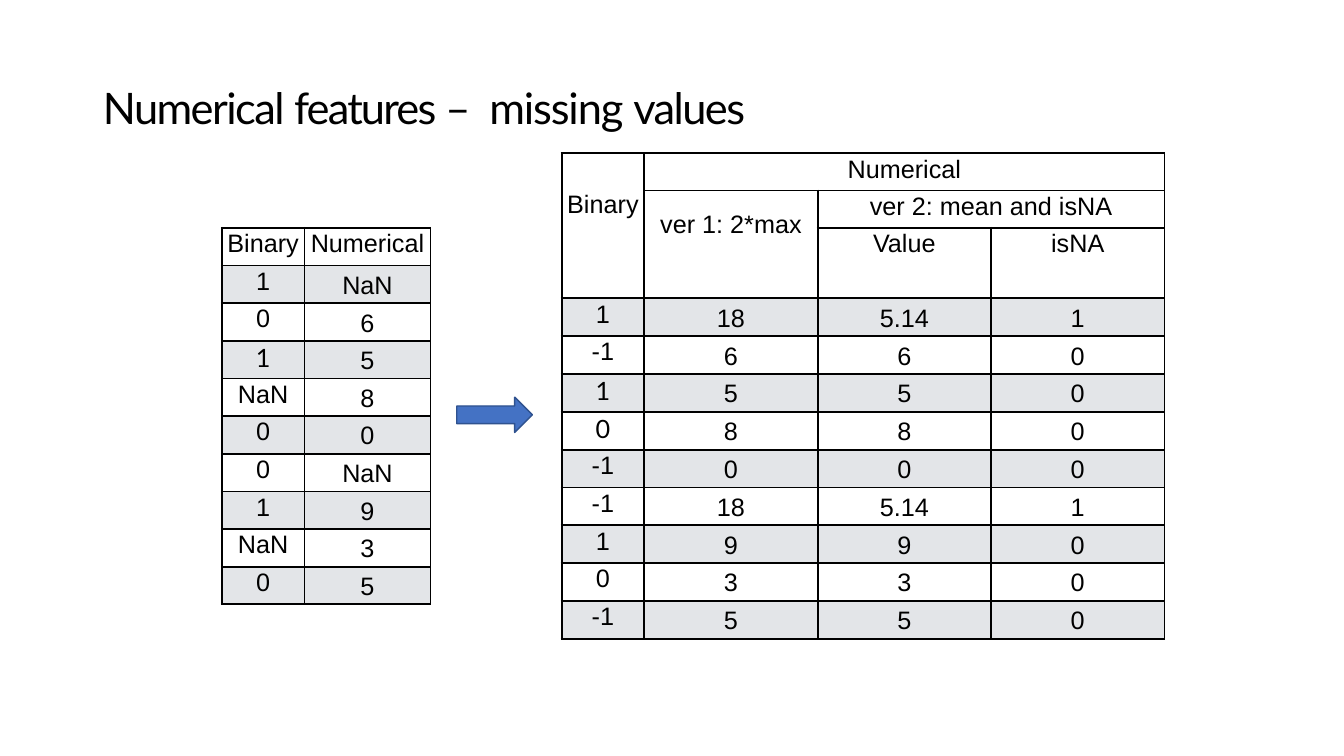
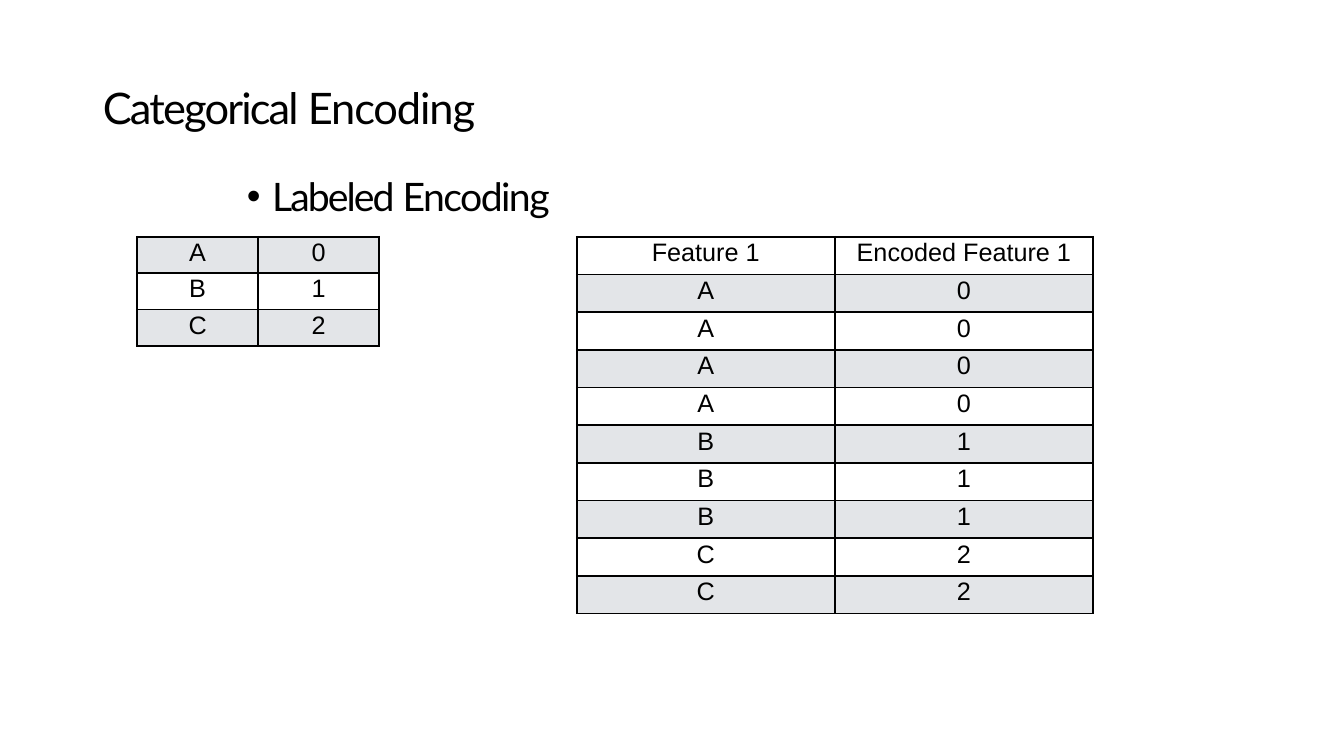
from lxml.etree import SubElement
from pptx import Presentation
from pptx.dml.color import RGBColor
from pptx.enum.shapes import MSO_SHAPE
from pptx.enum.text import MSO_ANCHOR, PP_ALIGN
from pptx.oxml.ns import qn
from pptx.util import Inches, Pt

# Shared look
BLACK, WHITE, GREY = "000000", "FFFFFF", "E3E5E8"
BLUE, NAVY = "4472C4", "2F528F"
SANS, HEAD = "Arial", "Lato"

# Content: text runs carry their letter spacing in points
MISSING = [("Numerical ", -1.1), ("features ", -1.3), ("– ", 2.7),
           ("missing ", -0.8), ("values", -1.1)]
CODING = [("Categorical ", -1.3), ("Encoding", -0.8)]
LABEL = [("Labeled ", -1.4), ("Encoding", -1.1)]

RAW = [
    ("Binary", "Numerical"),
    ("1", "NaN"), ("0", "6"), ("1", "5"), ("NaN", "8"), ("0", "0"),
    ("0", "NaN"), ("1", "9"), ("NaN", "3"), ("0", "5"),
]
FILLED = [
    ("Binary", "Numerical", "", ""),
    ("", "ver 1: 2*max", "ver 2: mean and isNA", ""),
    ("", "", "Value", "isNA"),
    ("1", "18", "5.14", "1"),
    ("-1", "6", "6", "0"),
    ("1", "5", "5", "0"),
    ("0", "8", "8", "0"),
    ("-1", "0", "0", "0"),
    ("-1", "18", "5.14", "1"),
    ("1", "9", "9", "0"),
    ("0", "3", "3", "0"),
    ("-1", "5", "5", "0"),
]
SPANS = [((0, 0), (2, 0)), ((0, 1), (0, 3)), ((1, 1), (2, 1)), ((1, 2), (1, 3))]
CODES = {"A": "0", "B": "1", "C": "2"}
KEY = list(CODES.items())
CODED = [("Feature 1", "Encoded Feature 1")] + [(x, CODES[x]) for x in "AAAABBBCC"]


def color(code):
    return RGBColor.from_string(code)


def paint(fill, code):
    fill.solid()
    fill.fore_color.rgb = color(code)


def write(frame, runs, size, top):
    """Fill a text frame with one line of spaced heading text."""
    frame.word_wrap = True
    frame.vertical_anchor = MSO_ANCHOR.TOP
    frame.margin_left = frame.margin_right = frame.margin_bottom = 0
    frame.margin_top = Inches(top)
    para = frame.paragraphs[0]
    para.alignment = PP_ALIGN.LEFT
    para.font.size, para.font.name = Pt(size), HEAD
    para.font.color.rgb = color(BLACK)
    for text, gap in runs:
        run = para.add_run()
        run.text = text
        run._r.get_or_add_rPr().set("spc", str(round(gap * 100)))
    return para


def add_page(deck, runs):
    page = deck.slides.add_slide(deck.slide_layouts[5])
    title = page.shapes.title
    title.left, title.top = Inches(1.02), Inches(0.79)
    title.width, title.height = Inches(7.5), Inches(0.55)
    write(title.text_frame, runs, 31, 0.01)
    return page


def add_border(cell):
    props = cell._tc.get_or_add_tcPr()
    for side in ("lnL", "lnR", "lnT", "lnB"):
        line = SubElement(props, qn(f"a:{side}"), w=str(Pt(1.5)))
        fill = SubElement(line, qn("a:solidFill"))
        SubElement(fill, qn("a:srgbClr"), val=BLACK)


def add_grid(page, rows, left, top, cols, highs, heads=1, drop=0.02,
             spans=(), tops=None, lato=()):
    """Draw a striped table; drop is the top margin right of column one."""
    tops = tops or {}
    frame = page.shapes.add_table(
        len(rows), len(cols), Inches(left), Inches(top),
        Inches(sum(cols)), Inches(sum(highs)))
    grid = frame.table
    grid.first_row = grid.horz_banding = False
    for col, width in zip(grid.columns, cols):
        col.width = Inches(width)
    for row, high in zip(grid.rows, highs):
        row.height = Inches(high)
    for start, end in spans:
        grid.cell(*start).merge(grid.cell(*end))
    for r, row in enumerate(rows):
        for c, text in enumerate(row):
            cell = grid.cell(r, c)
            add_border(cell)
            body = r >= heads
            paint(cell.fill, GREY if body and (r - heads) % 2 == 0 else WHITE)
            cell.margin_left = cell.margin_right = cell.margin_bottom = 0
            inset = drop if body and c else 0.02
            cell.margin_top = Inches(tops.get((r, c), inset))
            para = cell.text_frame.paragraphs[0]
            para.alignment = PP_ALIGN.CENTER
            para.font.size = Pt(18)
            para.font.name = HEAD if (r, c) in lato else SANS
            para.font.color.rgb = color(BLACK)
            if text:
                para.text = text


def add_arrow(page):
    arrow = page.shapes.add_shape(
        MSO_SHAPE.RIGHT_ARROW, Inches(4.53), Inches(3.94), Inches(0.75), Inches(0.35))
    arrow.shadow.inherit = False
    paint(arrow.fill, BLUE)
    arrow.line.color.rgb = color(NAVY)
    arrow.line.width = Pt(1)


def add_point(page):
    box = page.shapes.add_textbox(Inches(2.44), Inches(1.7), Inches(3.5), Inches(0.49))
    para = write(box.text_frame, LABEL, 28, 0.01)
    props = para._p.get_or_add_pPr()
    props.set("marL", str(Inches(0.26)))
    props.set("indent", str(-Inches(0.25)))
    font = props.makeelement(qn("a:buFont"), {"typeface": SANS})
    bullet = props.makeelement(qn("a:buChar"), {"char": "•"})
    props.insert(0, font)
    props.insert(1, bullet)


def main():
    deck = Presentation()
    deck.slide_width, deck.slide_height = Inches(13.33), Inches(7.5)
    tall = [3.74 / 10] * 10

    # Missing values
    page = add_page(deck, MISSING)
    add_grid(page, RAW, 2.2, 2.26, [0.82, 1.25], tall, drop=0.06, lato={(3, 0)})
    add_grid(page, FILLED, 5.57, 1.52, [0.82] + [1.72] * 3,
             [0.37, 0.37, 0.7] + [3.38 / 9] * 9, heads=3, drop=0.06, spans=SPANS,
             tops={(0, 0): 0.37, (1, 1): 0.2}, lato={(5, 0), (6, 0)})
    add_arrow(page)

    # Label encoding
    page = add_page(deck, CODING)
    add_point(page)
    add_grid(page, CODED, 5.72, 2.35, [2.56] * 2, tall)
    add_grid(page, KEY, 1.36, 2.35, [1.2] * 2, [0.36] * 3, heads=0)

    deck.save("out.pptx")


if __name__ == "__main__":
    main()
